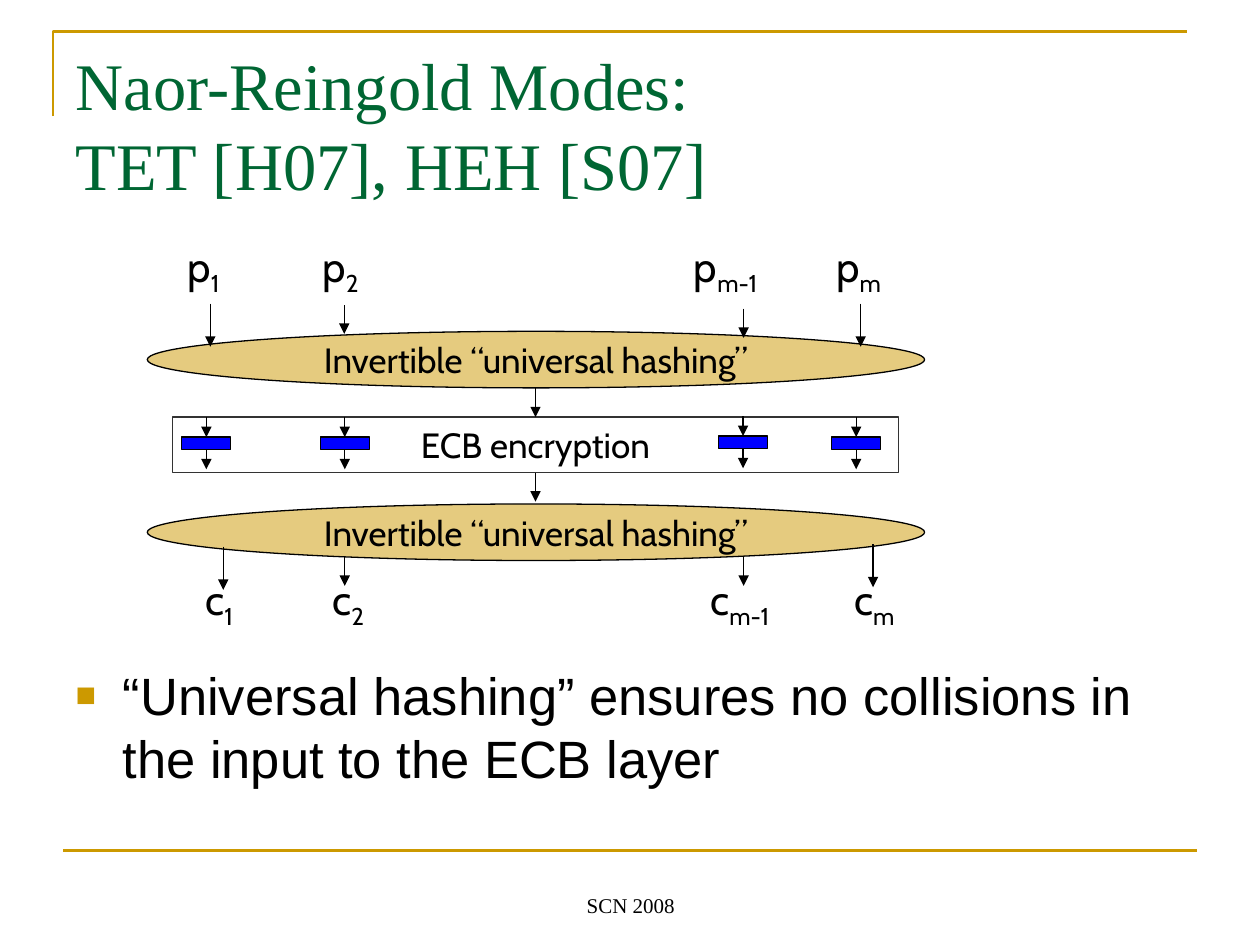
import pptx
import pptx.util
import pptx.dml.color
import pptx.enum.shapes
import pptx.enum.text
import pptx.oxml
import pptx.oxml.ns
from lxml import etree

Cm, Pt = pptx.util.Cm, pptx.util.Pt
SHAPE = pptx.enum.shapes.MSO_SHAPE
ALIGN = pptx.enum.text.PP_ALIGN
ANCHOR = pptx.enum.text.MSO_ANCHOR
qn = pptx.oxml.ns.qn

# Content
TITLE = ["Naor-Reingold Modes: ", "TET [H07], HEH [S07]"]
BULLET = "“Universal hashing” ensures no collisions in the input to the ECB layer"
HASHING = "Invertible “universal hashing”"
ECB = "ECB encryption"
FOOTER = "SCN 2008"

# Geometry in cm
TITLE_BOX = (1.27, 0.76, 22.86, 3.18)
BODY_BOX = (1.27, 13.23, 22.86, 3.48)
FOOTER_BOX = (8.69, 17.35, 8.05, 1.27)
HASH_X, HASH_W, HASH_H = 2.97, 15.67, 1.14
HASH_TOPS = (6.68, 10.16)
ECB_BOX = (3.48, 8.41, 14.63, 1.12)
BLOCK_W, BLOCK_H, STEM = 0.99, 0.25, 0.4
LABEL_H = 1.42

# Label rows: letter, top, then (subscript, left, width, arrow x, arrow start, arrow end)
ROWS = [
    ("p", 4.72, [("1", 3.53, 1.30, 4.24, 6.12, 6.99),
                 ("2", 6.25, 1.30, 6.94, 6.15, 6.73),
                 ("m-1", 13.74, 1.93, 14.99, 6.22, 6.81),
                 ("m", 16.61, 1.47, 17.35, 6.12, 6.99)]),
    ("c", 11.43, [("1", 3.89, 1.19, 4.50, 11.02, 11.89),
                  ("2", 6.45, 1.19, 6.95, 11.23, 11.81),
                  ("m-1", 14.07, 1.80, 14.99, 11.23, 11.81),
                  ("m", 16.97, 1.37, 17.60, 10.97, 11.84)]),
]
# Cipher blocks: centre x, top
BLOCKS = [(4.16, 8.81), (6.95, 8.81), (14.98, 8.79), (17.26, 8.81)]

THEME = {
    "gold": "CC9900", "green": "006633", "black": "000000",
    "grey": "333333", "blue": "0000FF",
    "serif": "Times New Roman", "sans": "Arial", "diagram": "Cabin",
    "title": 38, "body": 30, "label": 24, "box": 20, "footer": 12,
    "thin": 0.75, "rule": 1.5,
}


def rgb(name):
    return pptx.dml.color.RGBColor.from_string(THEME[name])


def add_run(p, text, size, font, color="black"):
    r = p.add_run()
    r.text = text
    r.font.size = Pt(THEME[size])
    r.font.name = THEME[font]
    r.font.color.rgb = rgb(color)
    return r


def set_line(s, color="black", width="thin"):
    s.line.color.rgb = rgb(color)
    s.line.width = Pt(THEME[width])


def add_box(slide, kind, box, fill=None, line="black", alpha=None, text=None, wrap=True):
    s = slide.shapes.add_shape(kind, *map(Cm, box))
    s.shadow.inherit = False
    set_line(s, line)
    if fill:
        s.fill.solid()
        s.fill.fore_color.rgb = rgb(fill)
    else:
        s.fill.background()
    if alpha:
        clr = s.fill._xPr.find(qn("a:solidFill"))[0]
        etree.SubElement(clr, qn("a:alpha")).set("val", str(alpha * 1000))
    if text:
        tf = s.text_frame
        tf.word_wrap = wrap
        tf.vertical_anchor = ANCHOR.MIDDLE
        p = tf.paragraphs[0]
        p.alignment = ALIGN.CENTER
        add_run(p, text, "box", "diagram")
    return s


def add_line(slide, x1, y1, x2, y2, color="black", width="thin", arrow=True):
    s = slide.shapes.add_connector(
        pptx.enum.shapes.MSO_CONNECTOR.STRAIGHT, Cm(x1), Cm(y1), Cm(x2), Cm(y2))
    set_line(s, color, width)
    if arrow:
        etree.SubElement(s.line._get_or_add_ln(), qn("a:tailEnd")).set("type", "triangle")
    etree.SubElement(s._element.spPr, qn("a:effectLst"))
    return s


def add_text(slide, box, wrap=True):
    tf = slide.shapes.add_textbox(*map(Cm, box)).text_frame
    tf.word_wrap = wrap
    return tf


def place(s, box):
    s.left, s.top, s.width, s.height = map(Cm, box)
    tf = s.text_frame
    tf.auto_size = pptx.enum.text.MSO_AUTO_SIZE.NONE
    tf.vertical_anchor = ANCHOR.TOP
    p = tf.paragraphs[0]
    p.alignment = ALIGN.LEFT
    return p


def set_bullet(p):
    pPr = p._p.get_or_add_pPr()
    pPr.set("marL", str(Cm(0.95)))
    pPr.set("indent", str(Cm(-0.95)))
    clr = etree.SubElement(pPr, qn("a:buClr"))
    etree.SubElement(clr, qn("a:srgbClr")).set("val", THEME["gold"])
    etree.SubElement(pPr, qn("a:buSzPct")).set("val", "65000")
    etree.SubElement(pPr, qn("a:buFont")).set("typeface", THEME["sans"])
    etree.SubElement(pPr, qn("a:buChar")).set("char", "■")


def main():
    prs = pptx.Presentation()
    prs.slide_width, prs.slide_height = Cm(25.4), Cm(19.05)
    slide = prs.slides.add_slide(prs.slide_layouts[1])

    # Gold frame
    fb = slide.shapes.build_freeform(Cm(1.07), Cm(2.34))
    fb.add_line_segments([(Cm(1.07), Cm(0.64)), (Cm(23.93), Cm(0.64))], close=False)
    s = fb.convert_to_shape()
    s.shadow.inherit = False
    s.fill.background()
    set_line(s, "gold", "rule")
    add_line(slide, 1.27, 17.15, 24.13, 17.15, "gold", "rule", arrow=False)

    # Title and bullet
    p = place(slide.shapes.title, TITLE_BOX)
    add_run(p, TITLE[0], "title", "serif", "green")
    p.add_line_break()
    add_run(p, TITLE[1], "title", "serif", "green")
    p = place(slide.placeholders[1], BODY_BOX)
    p.space_before = Pt(7.5)
    set_bullet(p)
    add_run(p, BULLET, "body", "sans")

    # Hashing and encryption layers
    for top in HASH_TOPS:
        add_box(slide, SHAPE.OVAL, (HASH_X, top, HASH_W, HASH_H),
                "gold", alpha=50, text=HASHING, wrap=False)
    ecb = add_box(slide, SHAPE.RECTANGLE, ECB_BOX, line="grey", text=ECB)
    mid = ECB_BOX[0] + ECB_BOX[2] / 2
    ecb_bottom = ECB_BOX[1] + ECB_BOX[3]
    add_line(slide, mid, HASH_TOPS[0] + HASH_H, mid, ECB_BOX[1]).end_connect(ecb, 0)
    add_line(slide, mid, ecb_bottom, mid, HASH_TOPS[1] - 0.05).begin_connect(ecb, 2)

    # Plaintext and ciphertext labels with arrows
    for letter, top, items in ROWS:
        for sub, left, width, x, start, end in items:
            p = add_text(slide, (left, top, width, LABEL_H), wrap=False).paragraphs[0]
            add_run(p, letter, "label", "diagram")
            r = add_run(p, sub, "label", "diagram")
            r.font._element.set("baseline", "-25000")
            add_line(slide, x, start, x, end)

    # Cipher blocks
    for x, top in BLOCKS:
        block = add_box(slide, SHAPE.RECTANGLE, (x - BLOCK_W / 2, top, BLOCK_W, BLOCK_H), "blue")
        bottom = top + BLOCK_H
        add_line(slide, x, top - STEM, x, top).end_connect(block, 0)
        add_line(slide, x, bottom, x, bottom + STEM).begin_connect(block, 2)

    # Footer
    tf = add_text(slide, FOOTER_BOX)
    tf.vertical_anchor = ANCHOR.BOTTOM
    p = tf.paragraphs[0]
    p.alignment = ALIGN.CENTER
    add_run(p, FOOTER, "footer", "serif")

    prs.save("out.pptx")


if __name__ == "__main__":
    main()
